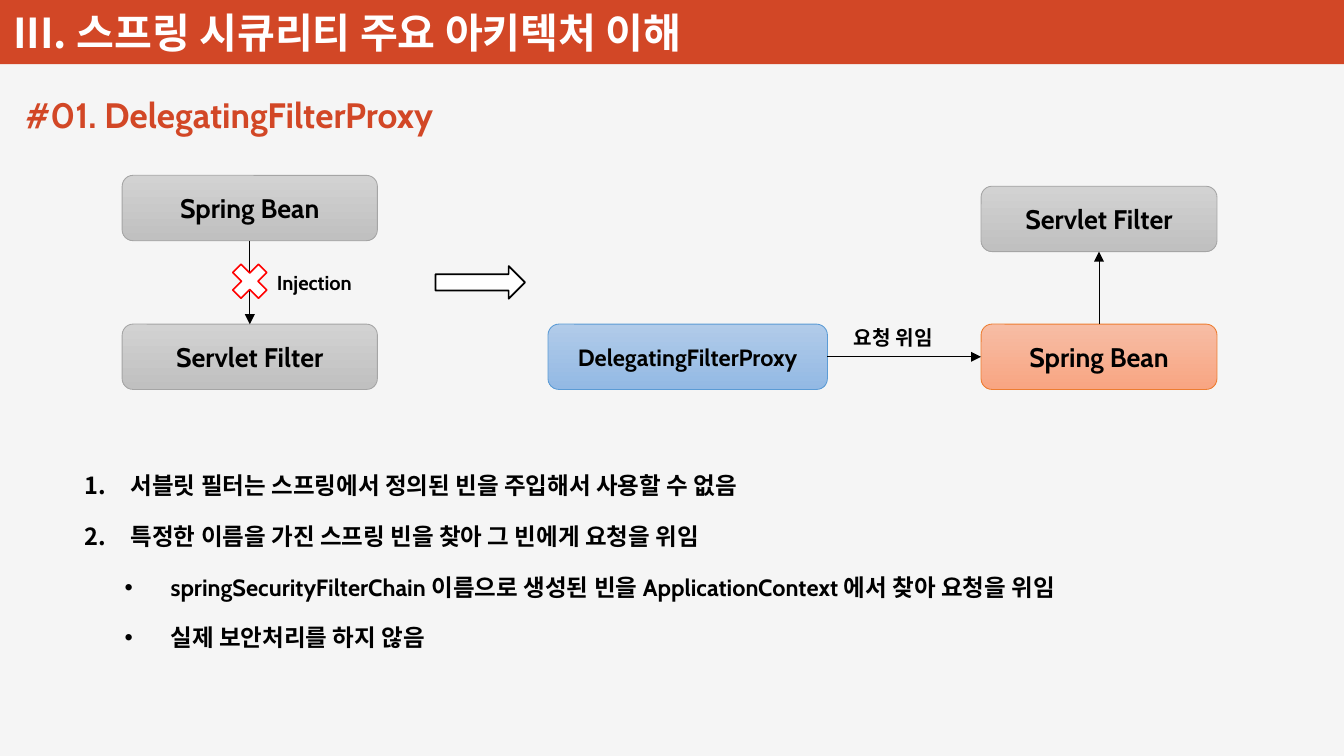
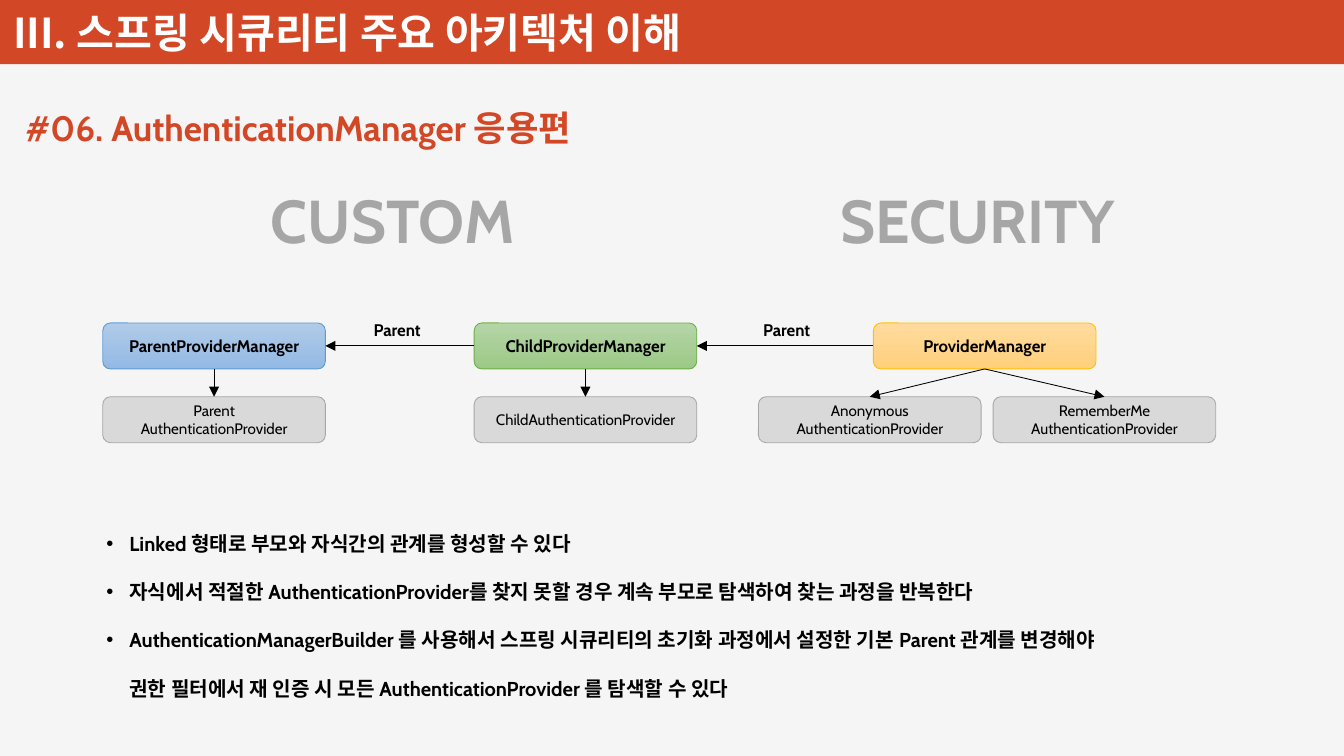
from lxml.etree import SubElement
from pptx import Presentation
from pptx.dml.color import RGBColor
from pptx.enum.shapes import MSO_CONNECTOR, MSO_SHAPE
from pptx.enum.text import MSO_ANCHOR, MSO_AUTO_SIZE, PP_ALIGN
from pptx.oxml.ns import qn
from pptx.util import Inches, Pt

COLORS = {
    "page": "F5F5F5",
    "accent": "D24726",
    "white": "FFFFFF",
    "black": "000000",
    "red": "FF0000",
    "caption": "A6A6A6",
}
BOX_STYLES = {
    "gray": ("D2D2D2", "C0C0C0", "A5A5A5"),
    "blue": ("B1CBE9", "93B9E4", "5B9BD5"),
    "orange": ("F7BDA5", "F8A582", "ED7D31"),
    "green": ("B5D5A7", "9CC987", "70AD47"),
    "yellow": ("FFDB9E", "FFD07C", "FFC000"),
    "plain": ("D9D9D9", "D9D9D9", "A6A6A6"),
}
LATIN_FONT = "Cabin"
KOREAN_FONT = "Noto Sans CJK KR"
TOP, LEFT, BOTTOM, RIGHT = range(4)


def rgb(name):
    return RGBColor.from_string(COLORS.get(name, name))


def style_paragraph(paragraph, size, color="black", bold=True, name=LATIN_FONT):
    font = paragraph.font
    font.size = Pt(size)
    font.bold = bold
    font.color.rgb = rgb(color)
    font.name = name
    properties = paragraph._p.pPr.find(qn("a:defRPr"))
    SubElement(properties, qn("a:ea"), typeface=KOREAN_FONT)


def place(shape, left, top, width, height):
    shape.left, shape.top = Inches(left), Inches(top)
    shape.width, shape.height = Inches(width), Inches(height)


def fill_text(shape, text, size, color="black", bold=True, name=LATIN_FONT,
              align=PP_ALIGN.LEFT, anchor=MSO_ANCHOR.TOP, wrap=False):
    frame = shape.text_frame
    frame.text = text
    frame.word_wrap = wrap
    frame.auto_size = MSO_AUTO_SIZE.NONE
    frame.vertical_anchor = anchor
    for paragraph in frame.paragraphs:
        paragraph.alignment = align
        style_paragraph(paragraph, size, color, bold, name)


def add_label(slide, area, text, size, color="black"):
    label = slide.shapes.add_textbox(*map(Inches, area))
    fill_text(label, text, size, color)


def add_plain_shape(slide, kind, area, fill, line=None):
    shape = slide.shapes.add_shape(kind, *map(Inches, area))
    shape.shadow.inherit = False
    shape.fill.solid()
    shape.fill.fore_color.rgb = rgb(fill)
    if line:
        shape.line.color.rgb = rgb(line)
        shape.line.width = Pt(1)
    else:
        shape.line.fill.background()
    return shape


def add_box(slide, area, text, style, size, bold=True):
    first, last, line = BOX_STYLES[style]
    box = add_plain_shape(slide, MSO_SHAPE.ROUNDED_RECTANGLE, area, first, line)
    box.line.width = Pt(0.5)
    if first != last:
        box.fill.gradient()
        box.fill.gradient_angle = 270
        for stop, color in zip(box.fill.gradient_stops, (first, last)):
            stop.color.rgb = rgb(color)
    fill_text(box, text, size, bold=bold, align=PP_ALIGN.CENTER,
              anchor=MSO_ANCHOR.MIDDLE, wrap=True)
    return box


def add_arrow(slide, source, source_side, target, target_side):
    arrow = slide.shapes.add_connector(MSO_CONNECTOR.STRAIGHT, 0, 0, 0, 0)
    arrow.begin_connect(source, source_side)
    arrow.end_connect(target, target_side)
    arrow.line.color.rgb = rgb("black")
    arrow.line.width = Pt(0.5)
    SubElement(arrow.line._get_or_add_ln(), qn("a:tailEnd"), type="triangle")
    SubElement(arrow._element.spPr, qn("a:effectLst"))


def set_bullet(paragraph, bullet, margin, hanging):
    properties = paragraph._p.get_or_add_pPr()
    properties.set("marL", str(Inches(margin)))
    properties.set("indent", str(-Inches(hanging) if bullet else 0))
    if bullet == "1.":
        mark = SubElement(properties, qn("a:buAutoNum"), type="arabicPeriod")
    elif bullet:
        mark = SubElement(properties, qn("a:buChar"), char=bullet)
    else:
        mark = SubElement(properties, qn("a:buNone"))
    properties.find(qn("a:defRPr")).addprevious(mark)


def fill_list(slide, area, items, size, hanging, line_spacing, space_before):
    body = slide.placeholders[1]
    place(body, *area)
    fill_text(body, "\n".join(text for text, *_ in items), size, wrap=True)
    for paragraph, (_, bullet, margin) in zip(body.text_frame.paragraphs, items):
        paragraph.line_spacing = line_spacing
        paragraph.space_before = Pt(space_before)
        set_bullet(paragraph, bullet, margin, hanging)


def add_slide(presentation, title, top, width):
    slide = presentation.slides.add_slide(presentation.slide_layouts[1])
    place(slide.shapes.title, 0.11, top, width, 0.45)
    fill_text(slide.shapes.title, title, 21, "accent")
    return slide


def add_band(presentation, slide):
    layout = presentation.slide_layouts[1]
    layout.background.fill.solid()
    layout.background.fill.fore_color.rgb = rgb("page")
    band = add_plain_shape(slide, MSO_SHAPE.RECTANGLE, (0, 0, 11.11, 0.53), "accent")
    chapter = slide.shapes.add_textbox(*map(Inches, (0.01, -0.1, 6.72, 0.61)))
    fill_text(chapter, "III. 스프링 시큐리티 주요 아키텍처 이해", 24.5, "white",
              name=KOREAN_FONT, anchor=MSO_ANCHOR.BOTTOM, wrap=True)
    chapter.text_frame.margin_top = chapter.text_frame.margin_bottom = Inches(0.04)
    for shape in (band, chapter):
        layout.shapes.element.append(shape.element)


def build_proxy_slide(presentation):
    slide = add_slide(presentation, "#01. DelegatingFilterProxy", 0.72, 3.9)
    add_band(presentation, slide)

    lower, height = 2.68, 0.54
    bean = add_box(slide, (1.01, 1.45, 2.11, height), "Spring Bean", "gray", 16)
    servlet = add_box(slide, (1.01, lower, 2.11, height), "Servlet Filter", "gray", 16)
    proxy = add_box(slide, (4.53, lower, 2.31, height), "DelegatingFilterProxy", "blue", 14)
    target_bean = add_box(slide, (8.11, lower, 1.95, height), "Spring Bean", "orange", 16)
    target_filter = add_box(slide, (8.11, 1.54, 1.95, height), "Servlet Filter", "gray", 16)

    add_arrow(slide, bean, BOTTOM, servlet, TOP)
    add_arrow(slide, proxy, RIGHT, target_bean, LEFT)
    add_arrow(slide, target_bean, TOP, target_filter, BOTTOM)
    add_plain_shape(slide, MSO_SHAPE.MATH_MULTIPLY, (1.86, 2.12, 0.41, 0.41), "white", "red")
    add_plain_shape(slide, MSO_SHAPE.RIGHT_ARROW, (3.6, 2.2, 0.74, 0.27), "white", "black")
    add_label(slide, (2.19, 2.19, 0.89, 0.3), "Injection", 12)
    add_label(slide, (6.96, 2.64, 0.92, 0.3), "요청 위임", 12)

    fill_list(slide, (0.28, 3.73, 10.55, 1.73), [
        ("서블릿 필터는 스프링에서 정의된 빈을 주입해서 사용할 수 없음", "1.", 0.7),
        ("특정한 이름을 가진 스프링 빈을 찾아 그 빈에게 요청을 위임", "1.", 0.7),
        ("springSecurityFilterChain 이름으로 생성된 빈을 ApplicationContext 에서 찾아 요청을 위임",
         "•", 1.03),
        ("실제 보안처리를 하지 않음", "•", 1.03),
    ], size=14, hanging=0.38, line_spacing=1.5, space_before=5)


def build_manager_slide(presentation):
    slide = add_slide(presentation, "#06. AuthenticationManager 응용편", 0.83, 5.15)
    add_label(slide, (2.14, 1.46, 2.31, 0.71), "CUSTOM", 36, "caption")
    add_label(slide, (6.85, 1.46, 2.53, 0.71), "SECURITY", 36, "caption")

    families = [
        (0.85, "ParentProviderManager", "blue",
         [(0.85, "Parent\nAuthenticationProvider")]),
        (3.92, "ChildProviderManager", "green",
         [(3.92, "ChildAuthenticationProvider")]),
        (7.22, "ProviderManager", "yellow",
         [(6.27, "Anonymous\nAuthenticationProvider"),
          (8.21, "RememberMe\nAuthenticationProvider")]),
    ]
    managers = []
    for left, name, style, providers in families:
        manager = add_box(slide, (left, 2.67, 1.84, 0.38), name, style, 10)
        managers.append(manager)
        for provider_left, provider_name in providers:
            provider = add_box(slide, (provider_left, 3.28, 1.84, 0.38),
                               provider_name, "plain", 9, bold=False)
            add_arrow(slide, manager, BOTTOM, provider, TOP)
    for parent, child, label_left in zip(managers, managers[1:], (2.99, 6.21)):
        add_arrow(slide, child, LEFT, parent, RIGHT)
        add_label(slide, (label_left, 2.59, 0.63, 0.27), "Parent", 10)

    fill_list(slide, (0.78, 4.14, 9.55, 1.65), [
        ("Linked 형태로 부모와 자식간의 관계를 형성할 수 있다", "•", 0.19),
        ("자식에서 적절한 AuthenticationProvider를 찾지 못할 경우 계속 부모로 탐색하여 찾는 과정을 반복한다",
         "•", 0.19),
        ("AuthenticationManagerBuilder 를 사용해서 스프링 시큐리티의 초기화 과정에서 설정한 기본 Parent 관계를 변경해야",
         "•", 0.19),
        ("권한 필터에서 재 인증 시 모든 AuthenticationProvider 를 탐색할 수 있다", None, 0.19),
    ], size=12, hanging=0.19, line_spacing=2.0, space_before=0)


def main():
    presentation = Presentation()
    presentation.slide_width = Inches(11.11)
    presentation.slide_height = Inches(6.25)
    build_proxy_slide(presentation)
    build_manager_slide(presentation)
    presentation.save("out.pptx")


if __name__ == "__main__":
    main()
